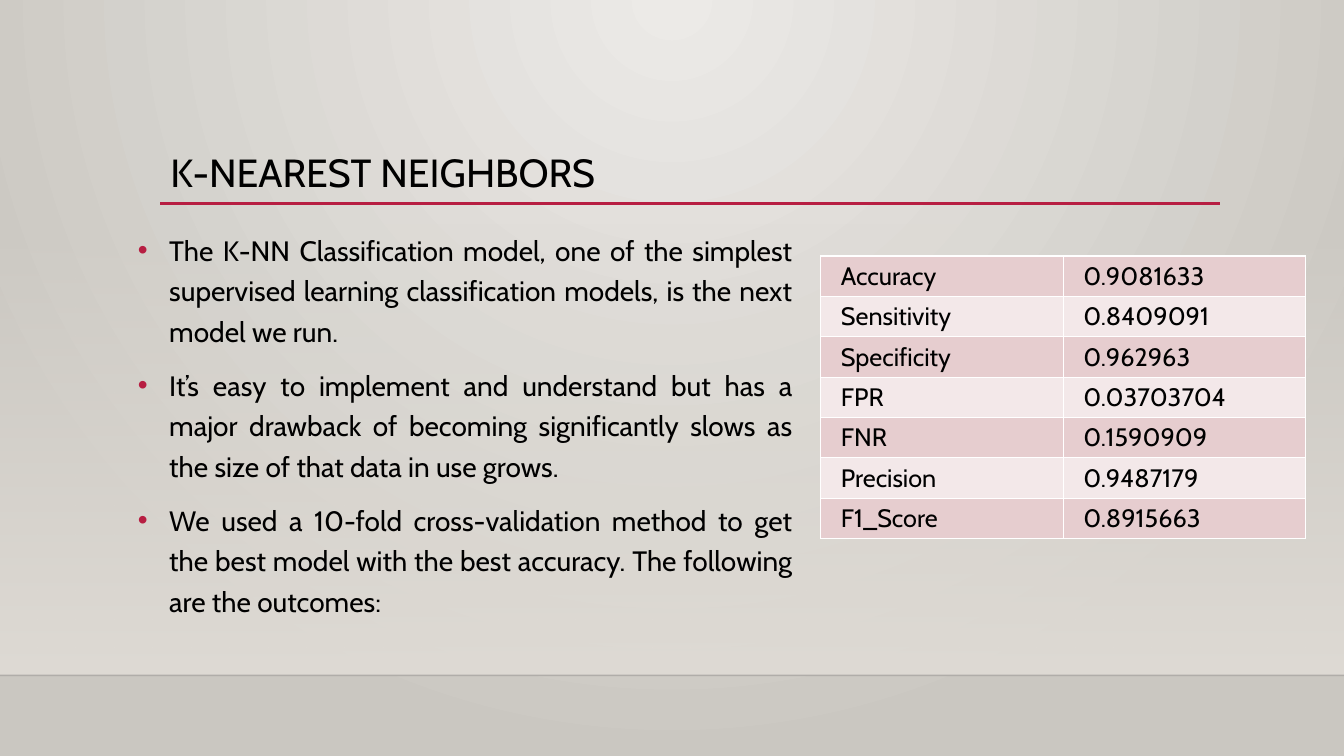
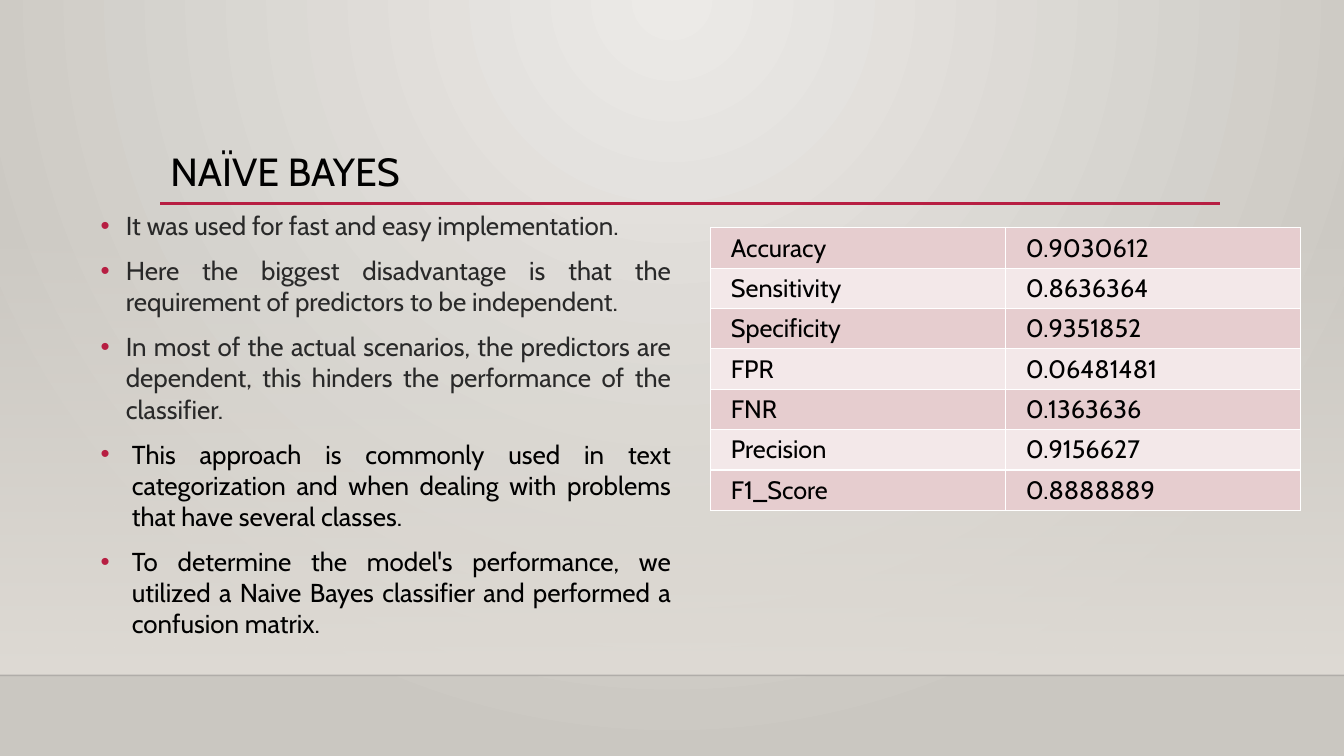
from lxml import etree
from pptx import Presentation
from pptx import util as u
from pptx.dml.color import RGBColor
from pptx.enum import shapes, text
from pptx.oxml.ns import qn

Inches, Pt = u.Inches, u.Pt

COLORS = {
    "glow": "ECEAE7", "edge": "CAC7C1", "floor": "DFDBD5", "shade": "000001",
    "accent": "B71E42", "ink": "000000", "soft": "292929", "white": "FFFFFF",
    "row_dark": "E6CDCF", "row_light": "F3E8E9",
}
FONT = "Cabin"
WIDTH, HEIGHT = 13.33, 7.5
FLOOR_Y = 6.7
METRICS = ["Accuracy", "Sensitivity", "Specificity", "FPR", "FNR", "Precision", "F1_Score"]


def rgb(name):
    return RGBColor.from_string(COLORS[name])


def sub(parent, tag, **attrs):
    return etree.SubElement(parent, qn(tag), {k: str(v) for k, v in attrs.items()})


def set_format(obj, **values):
    for name, value in values.items():
        setattr(obj, name, value)


def set_opacity(element, percents):
    """Give each colour inside element its opacity, in order."""
    for color, percent in zip(element.iter(qn("a:srgbClr")), percents):
        sub(color, "a:alpha", val=percent * 1000)


class Deck:
    """The shared style and the slide being built."""

    def __init__(self):
        self.prs = Presentation()
        set_format(self.prs, slide_width=Inches(WIDTH), slide_height=Inches(HEIGHT))
        self.s = None
        self.background()

    def gradient(self, fill, *names):
        fill.gradient()
        for stop, name, position in zip(fill.gradient_stops, names, (0, 1)):
            stop.color.rgb = rgb(name)
            stop.position = position

    def background(self):
        # Circular glow from the top centre, set on the master
        master = self.prs.slide_master
        self.gradient(master.background.fill, "glow", "edge")
        grad = next(master.element.iter(qn("a:gradFill")))
        grad.remove(grad.find(qn("a:lin")))
        glow = sub(grad, "a:path", path="circle")
        sub(glow, "a:fillToRect", l=43000, t=0, r=43000, b=100000)

    def slide(self, title, top):
        self.s = self.prs.slides.add_slide(self.prs.slide_layouts[5])
        self.floor()
        self.line(0, WIDTH, FLOOR_Y, "shade", 1, opacity=20)
        self.line(1.59, 12.1, 2.02, "accent", 2.5)
        self.title(title, top)

    def floor(self):
        top = 2.21
        sp = self.s.shapes.add_shape(shapes.MSO_SHAPE.RECTANGLE, 0, Inches(top),
                                     Inches(WIDTH), Inches(FLOOR_Y - top))
        sp.shadow.inherit = False
        sp.line.fill.background()
        self.gradient(sp.fill, "floor", "floor")
        sp.fill.gradient_angle = 270
        set_opacity(sp.element.spPr, (0, 100))

    def line(self, x1, x2, y, color, width, opacity=None):
        ln = self.s.shapes.add_connector(shapes.MSO_CONNECTOR.STRAIGHT,
                                         Inches(x1), Inches(y), Inches(x2), Inches(y))
        ln.line.color.rgb = rgb(color)
        ln.line.width = Pt(width)
        if opacity is not None:
            set_opacity(ln.line._get_or_add_ln(), [opacity])
        sub(ln.element.spPr, "a:effectLst")

    def run(self, p, words, size, color="ink"):
        r = p.add_run()
        r.text = words
        set_format(r.font, name=FONT, size=Pt(size))
        r.font.color.rgb = rgb(color)

    def title(self, words, top):
        sp = self.s.shapes.title
        set_format(sp, left=Inches(1.59), top=Inches(top),
                   width=Inches(4.73), height=Inches(2.02 - top))
        sp.text_frame.vertical_anchor = text.MSO_ANCHOR.MIDDLE
        p = sp.text_frame.paragraphs[0]
        set_format(p, alignment=text.PP_ALIGN.LEFT, line_spacing=0.9)
        self.run(p, words, 28)

    def bullets(self, left, top, width, height, items, size, spacing):
        """items: (words, indent, colour) for each paragraph."""
        tf = self.s.shapes.add_textbox(Inches(left), Inches(top),
                                       Inches(width), Inches(height)).text_frame
        tf.word_wrap = True
        for i, (words, indent, color) in enumerate(items):
            p = tf.add_paragraph() if i else tf.paragraphs[0]
            set_format(p, alignment=text.PP_ALIGN.JUSTIFY, line_spacing=spacing,
                       space_before=Pt(10))
            pPr = p._p.get_or_add_pPr()
            pPr.set("marL", str(Inches(indent)))
            pPr.set("indent", str(-Inches(indent)))
            sub(sub(pPr, "a:buClr"), "a:srgbClr", val=COLORS["accent"])
            sub(pPr, "a:buFont", typeface="Arial")
            sub(pPr, "a:buChar", char="•")
            self.run(p, words, size, color)

    def table(self, left, top, width, values):
        rows = list(zip(METRICS, values))
        table = self.s.shapes.add_table(len(rows), 2, Inches(left), Inches(top),
                                        Inches(width), Inches(0.4 * len(rows))).table
        set_format(table, first_row=False, horz_banding=False)
        for i, row in enumerate(rows):
            for j, words in enumerate(row):
                self.cell(table.cell(i, j), words, "row_light" if i % 2 else "row_dark")

    def cell(self, cell, words, color):
        set_format(cell, margin_left=Inches(0.2), margin_right=Inches(0.2),
                   margin_top=Inches(0.05), margin_bottom=Inches(0.05))
        tcPr = cell._tc.get_or_add_tcPr()
        for side in "LRTB":
            border = sub(tcPr, f"a:ln{side}", w=Pt(1))
            sub(sub(border, "a:solidFill"), "a:srgbClr", val=COLORS["white"])
        cell.fill.solid()
        cell.fill.fore_color.rgb = rgb(color)
        self.run(cell.text_frame.paragraphs[0], words, 18)


def main():
    deck = Deck()

    # K-nearest neighbors
    deck.slide("K-NEAREST NEIGHBORS", 1.44)
    points = [
        "The K-NN Classification model, one of the simplest supervised learning "
        "classification models, is the next model we run.",
        "It’s easy to implement and understand but has a major drawback of "
        "becoming significantly slows as the size of that data in use grows.",
        "We used a 10-fold cross-validation method to get the best model with the "
        "best accuracy. The following are the outcomes:",
    ]
    deck.bullets(1.27, 2.2, 6.69, 4.18, [(words, 0.31, "ink") for words in points],
                 size=20, spacing=1.2)
    deck.table(8.14, 2.54, 4.81, ["0.9081633", "0.8409091", "0.962963", "0.03703704",
                                  "0.1590909", "0.9487179", "0.8915663"])

    # Naïve Bayes
    deck.slide("NAÏVE BAYES", 1.43)
    traits = [
        "It was used for fast and easy implementation.",
        "Here the biggest disadvantage is that the requirement of predictors to be "
        "independent.",
        "In most of the actual scenarios, the predictors are dependent, this hinders "
        "the performance of the classifier.",
    ]
    uses = [
        "This approach is commonly used in text categorization and when dealing with "
        "problems that have several classes.",
        "To determine the model's performance, we utilized a Naive Bayes classifier "
        "and performed a confusion matrix.",
    ]
    deck.bullets(0.9, 2.03, 5.85, 4.54,
                 [(words, 0.25, "soft") for words in traits]
                 + [(words, 0.31, "ink") for words in uses],
                 size=18.5, spacing=1.0)
    deck.table(7.05, 2.26, 5.85, ["0.9030612", "0.8636364", "0.9351852", "0.06481481",
                                  "0.1363636", "0.9156627", "0.8888889"])

    deck.prs.save("out.pptx")


if __name__ == "__main__":
    main()
